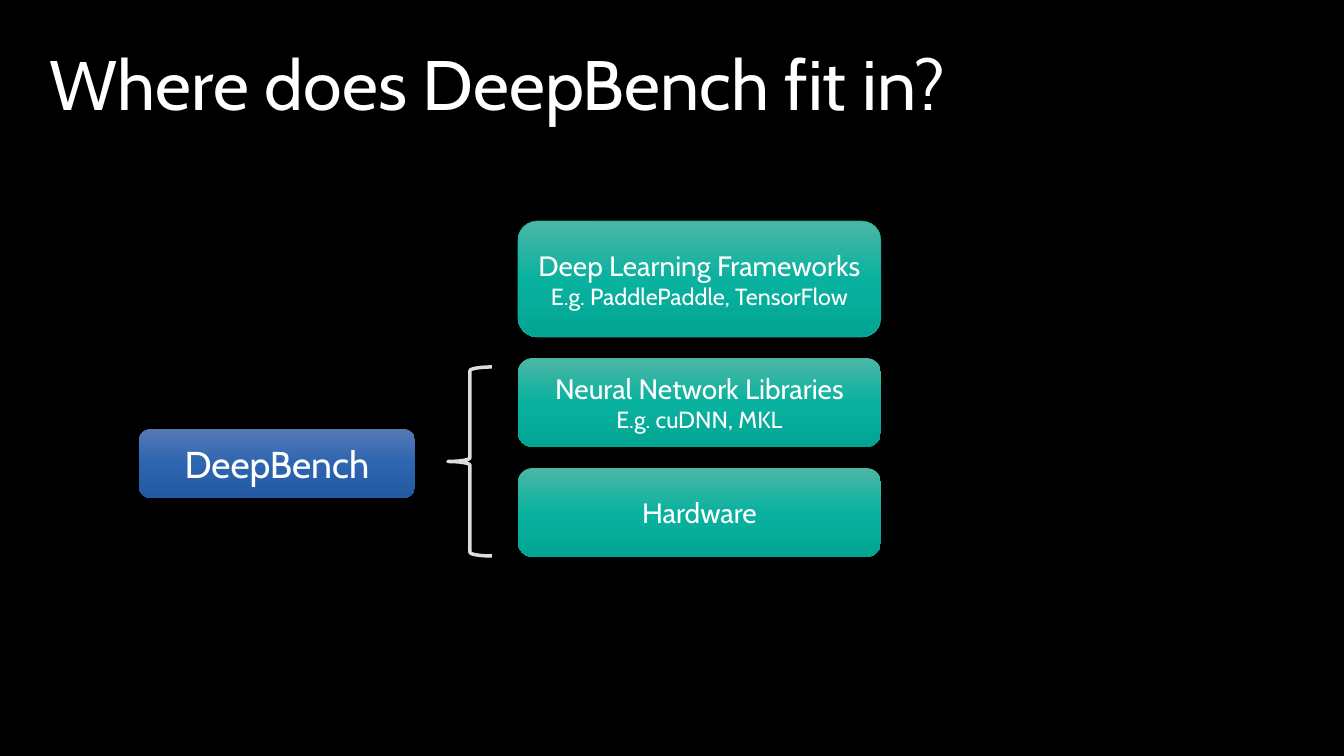
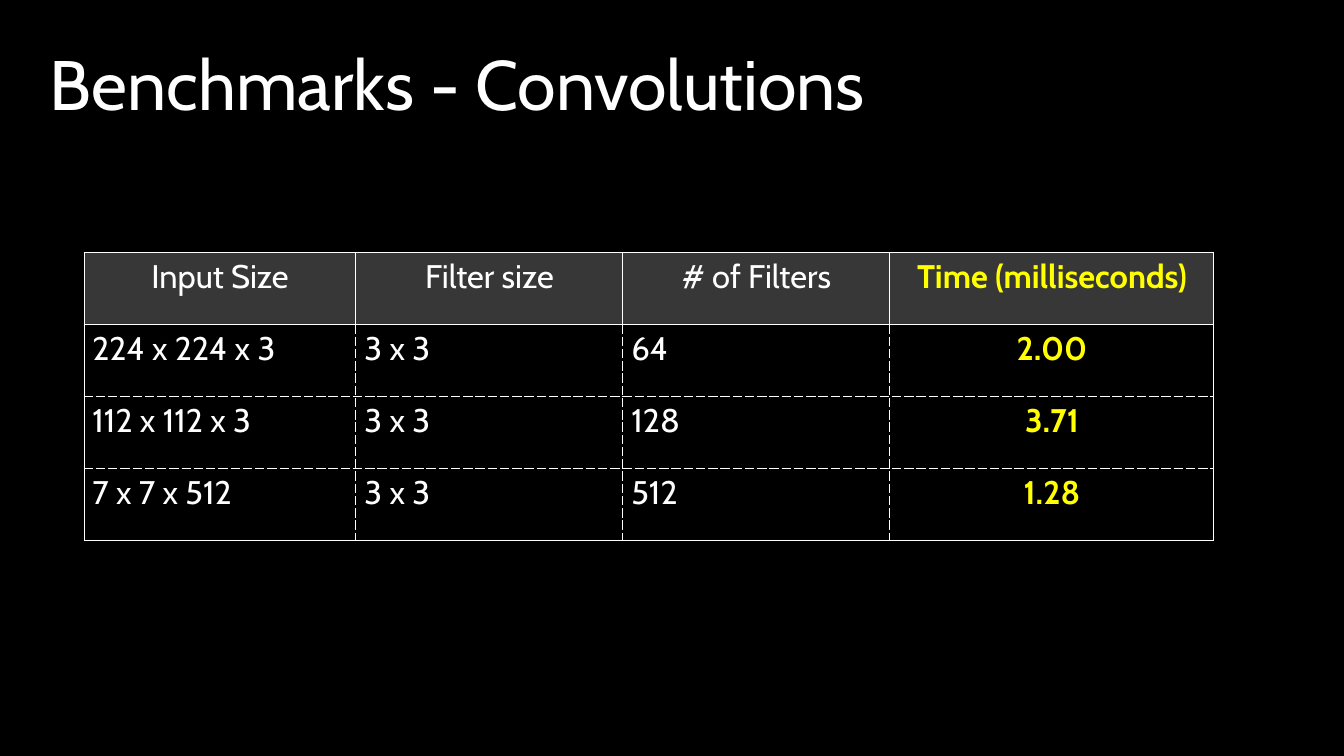
from copy import deepcopy
from dataclasses import dataclass

from lxml.etree import SubElement
from pptx import Presentation
from pptx.dml.color import RGBColor
from pptx.enum.shapes import MSO_SHAPE
from pptx.enum.text import MSO_ANCHOR, PP_ALIGN
from pptx.oxml import parse_xml
from pptx.oxml.ns import nsdecls, qn
from pptx.util import Pt

EMU_PER_PX = 914400 / 84


def px(n):
    return round(n * EMU_PER_PX)


@dataclass(frozen=True)
class Theme:
    # Colours
    background: str = "000000"
    text: str = "FFFFFF"
    highlight: str = "FFFF00"
    header: str = "373737"
    brace: str = "DDDDDD"
    outline: str = "11AA99"
    teal: tuple = ("4CB6A6", "09B29F", "02A593")
    blue: tuple = ("5679B5", "2D65B0", "2359A2")
    # Type
    font: str = "Cabin"
    title_size: int = 60
    large_size: int = 32
    table_size: int = 28
    label_size: int = 24
    note_size: int = 20


THEME = Theme()


def write(p, text, size, color=THEME.text, bold=False, align=PP_ALIGN.LEFT):
    p.alignment = align
    r = p.add_run()
    r.text = text
    r.font.name = THEME.font
    r.font.size = Pt(size)
    r.font.bold = bold
    r.font.color.rgb = RGBColor.from_string(color)


class Deck:
    def __init__(self, width, height):
        self.prs = Presentation()
        self.prs.slide_width, self.prs.slide_height = px(width), px(height)
        self.slide = None

    def add_slide(self, title):
        self.slide = self.prs.slides.add_slide(self.prs.slide_layouts[6])
        fill = self.slide.background.fill
        fill.solid()
        fill.fore_color.rgb = RGBColor.from_string(THEME.background)
        sp = self.slide.shapes.add_textbox(px(42), px(42), px(1260), px(101))
        tf = sp.text_frame
        tf.word_wrap = True
        tf.margin_left = tf.margin_right = tf.margin_top = tf.margin_bottom = px(8)
        tf.paragraphs[0].line_spacing = 0.9
        write(tf.paragraphs[0], title, THEME.title_size)

    def shape(self, kind, x, y, w, h):
        sp = self.slide.shapes.add_shape(kind, px(x), px(y), px(w), px(h))
        sp.shadow.inherit = False
        return sp

    def outline(self, sp, color, width):
        sp.line.color.rgb = RGBColor.from_string(color)
        sp.line.width = Pt(width)

    def gradient(self, sp, colors):
        sp.fill.gradient()
        sp.fill.gradient_angle = 270
        stops = sp._element.spPr.find(".//" + qn("a:gsLst"))
        stops.append(deepcopy(stops[0]))
        for i, (stop, color) in enumerate(zip(sp.fill.gradient_stops, colors)):
            stop.position = i / 2
            stop.color.rgb = RGBColor.from_string(color)

    def drop_shadow(self, sp):
        effects = sp._element.spPr.find(qn("a:effectLst"))
        shadow = SubElement(effects, qn("a:outerShdw"), blurRad=str(Pt(4.5)),
                            dist=str(Pt(1.5)), dir="5400000", rotWithShape="0")
        color = SubElement(shadow, qn("a:srgbClr"), val="000000")
        SubElement(color, qn("a:alpha"), val="63000")

    def box(self, x, y, w, h, lines, colors, outlined=False):
        """Rounded box; lines holds (text, size) pairs."""
        sp = self.shape(MSO_SHAPE.ROUNDED_RECTANGLE, x, y, w, h)
        self.gradient(sp, colors)
        if outlined:
            self.outline(sp, THEME.outline, 0.5)
        else:
            sp.line.fill.background()
            self.drop_shadow(sp)
        tf = sp.text_frame
        tf.word_wrap = True
        tf.vertical_anchor = MSO_ANCHOR.MIDDLE
        for i, (text, size) in enumerate(lines):
            p = tf.add_paragraph() if i else tf.paragraphs[0]
            write(p, text, size, align=PP_ALIGN.CENTER)

    def brace(self, x, y, w, h):
        sp = self.shape(MSO_SHAPE.LEFT_BRACE, x, y, w, h)
        sp.fill.background()
        self.outline(sp, THEME.brace, 3)

    def borders(self, cell, solid_sides):
        tcPr = cell._tc.get_or_add_tcPr()
        for i, side in enumerate("LRTB"):
            dash = "solid" if side in solid_sides else "sysDash"
            tcPr.insert(i, parse_xml(
                f'<a:ln{side} {nsdecls("a")} w="{Pt(1)}"><a:solidFill>'
                f'<a:srgbClr val="{THEME.text}"/></a:solidFill>'
                f'<a:prstDash val="{dash}"/></a:ln{side}>'))

    def table(self, x, y, widths, row_height, rows):
        """Solid frame and header, dashed inner lines, last column highlighted."""
        last_row, last_col = len(rows) - 1, len(widths) - 1
        table = self.slide.shapes.add_table(
            len(rows), len(widths), px(x), px(y),
            px(sum(widths)), px(row_height * len(rows))).table
        table.horz_banding = False
        for column, width in zip(table.columns, widths):
            column.width = px(width)
        for i, row in enumerate(rows):
            table.rows[i].height = px(row_height)
            for j, text in enumerate(row):
                cell = table.cell(i, j)
                header, key = i == 0, j == last_col
                if header:
                    cell.fill.solid()
                    cell.fill.fore_color.rgb = RGBColor.from_string(THEME.header)
                else:
                    cell.fill.background()
                solid = {"L": header or j == 0, "R": header or key,
                         "T": i <= 1, "B": header or i == last_row}
                self.borders(cell, [side for side in solid if solid[side]])
                write(cell.text_frame.paragraphs[0], text, THEME.table_size,
                      color=THEME.highlight if key else THEME.text, bold=key,
                      align=PP_ALIGN.CENTER if header or key else PP_ALIGN.LEFT)


def stack_slide(deck):
    deck.add_slide("Where does DeepBench fit in?")
    # Software stack: height, label, examples
    layers = [
        (116, "Deep Learning Frameworks", "E.g. PaddlePaddle, TensorFlow"),
        (89, "Neural Network Libraries", "E.g. cuDNN, MKL"),
        (89, "Hardware", None),
    ]
    y, gap = 221, 21
    for i, (height, label, examples) in enumerate(layers):
        lines = [(label, THEME.label_size)]
        if examples:
            lines.append((examples, THEME.note_size))
        deck.box(518, y, 363, height, lines, THEME.teal, outlined=i == 0)
        y += height + gap
    # Layers that the benchmark covers
    deck.box(139, 429, 276, 69, [("DeepBench", THEME.large_size)], THEME.blue)
    deck.brace(448, 367, 44, 189)


def convolutions_slide(deck):
    deck.add_slide("Benchmarks - Convolutions")
    deck.table(84, 253, [272, 267, 267, 324], 72, [
        ("Input Size", "Filter size", "# of Filters", "Time (milliseconds)"),
        ("224 x 224 x 3", "3 x 3", "64", "2.00"),
        ("112 x 112 x 3", "3 x 3", "128", "3.71"),
        ("7 x 7 x 512", "3 x 3", "512", "1.28"),
    ])


def main():
    deck = Deck(1344, 756)
    stack_slide(deck)
    convolutions_slide(deck)
    deck.prs.save("out.pptx")


if __name__ == "__main__":
    main()
